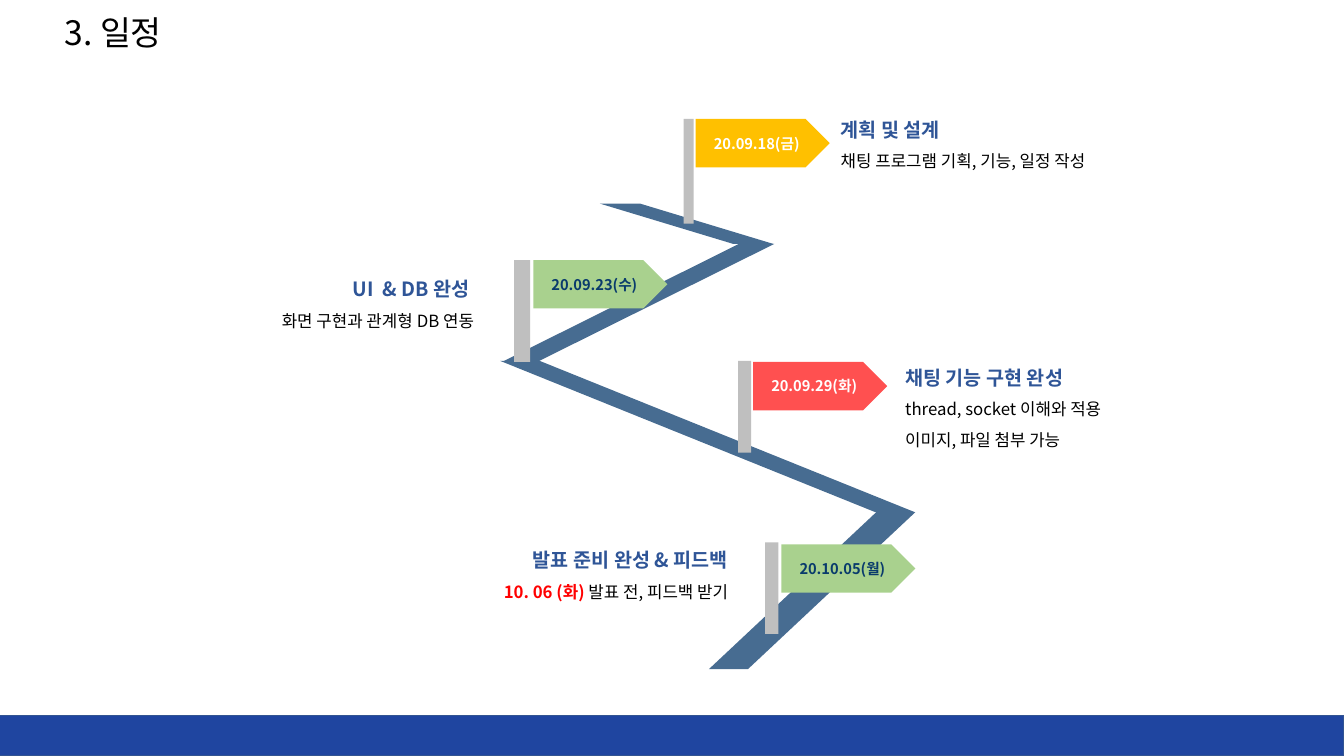
from pptx import Presentation
from pptx.dml.color import RGBColor
from pptx.enum.shapes import MSO_SHAPE
from pptx.enum.text import MSO_ANCHOR, MSO_AUTO_SIZE, PP_ALIGN
from pptx.oxml.ns import qn
from pptx.util import Pt
from lxml.etree import SubElement

PX = 9144
THEME = {
    "font": "Noto Sans CJK KR",
    "title": 24, "head": 14, "body": 12, "flag": 10.5,
    "black": "000000", "white": "FFFFFF", "navy": "093B6C",
    "blue": "2F5597", "alert": "FF0000", "road": "476C91",
    "pole": "BFBFBF", "bar": "1F45A0", "edge": "325491",
    "gold": "FFC000", "green": "A9D18E", "red": "FF5050",
}


def style(run, size, color, bold=False):
    font = run.font
    font.name = THEME["font"]
    font.size = Pt(THEME[size])
    font.bold = bold
    font.color.rgb = RGBColor.from_string(THEME[color])
    SubElement(run._r.get_or_add_rPr(), qn("a:ea")).set("typeface", THEME["font"])


def draw(home, kind, box, color):
    shape = home.add_shape(kind, *[n * PX for n in box])
    shape.shadow.inherit = False
    shape.fill.solid()
    shape.fill.fore_color.rgb = RGBColor.from_string(THEME[color])
    shape.line.fill.background()
    return shape


deck = Presentation()
deck.slide_width, deck.slide_height = 1333 * PX, 750 * PX
slide = deck.slides.add_slide(deck.slide_layouts[5])
shapes = slide.shapes

bar = draw(shapes, MSO_SHAPE.RECTANGLE, (-2, 710, 1335, 40), "bar")
bar.line.color.rgb = RGBColor.from_string(THEME["edge"])
bar.line.width = Pt(1)

title = shapes.title
title.left, title.top, title.width, title.height = [n * PX for n in (54, 7, 155, 50)]
frame = title.text_frame
frame.text = "3. 일정"
frame.auto_size = MSO_AUTO_SIZE.NONE
frame.vertical_anchor = MSO_ANCHOR.TOP
frame.paragraphs[0].alignment = PP_ALIGN.LEFT
style(frame.paragraphs[0].runs[0], "title", "black")

road = shapes.add_group_shape()
bends = [
    ((703, 508, 205, 156), 1.066, False),
    ((496, 358, 411, 150), 2.479, True),
    ((498, 242, 270, 117), 2.008, False),
    ((595, 202, 172, 40), 3.306, True),
]
for box, skew, flip in bends:
    bend = draw(road.shapes, MSO_SHAPE.PARALLELOGRAM, box, "road")
    bend.adjustments[0] = skew
    if flip:
        bend._element.spPr.xfrm.set("flipH", "1")

stops = [
    ("20.09.18(금)", (678, 118, 10, 104), (690, 118), "gold", "white"),
    ("20.09.23(수)", (510, 258, 16, 101), (529, 258), "green", "navy"),
    ("20.09.29(화)", (732, 358, 13, 91), (747, 359), "red", "white"),
    ("20.10.05(월)", (759, 538, 13, 91), (775, 540), "green", "navy"),
]
for date, pole, spot, fill, ink in stops:
    group = shapes.add_group_shape()
    draw(group.shapes, MSO_SHAPE.RECTANGLE, pole, "pole")
    flag = draw(group.shapes, MSO_SHAPE.PENTAGON, (*spot, 133, 48), fill)
    frame = flag.text_frame
    frame.text = date
    frame.vertical_anchor = MSO_ANCHOR.MIDDLE
    frame.paragraphs[0].alignment = PP_ALIGN.CENTER
    style(frame.paragraphs[0].runs[0], "flag", ink, True)

notes = [
    ((824, 100, 307, 72), PP_ALIGN.LEFT, "계획 및 설계",
     [[("채팅 프로그램 기획, 기능, 일정 작성", "black")]]),
    ((193, 258, 287, 72), PP_ALIGN.RIGHT, "UI  & DB 완성 ",
     [[("화면 구현과 관계형 DB 연동", "black")]]),
    ((888, 346, 287, 102), PP_ALIGN.LEFT, "채팅 기능 구현 완성",
     [[("thread, socket 이해와 적용", "black")],
      [("이미지, 파일 첨부 가능", "black")]]),
    ((445, 527, 287, 72), PP_ALIGN.RIGHT, "발표 준비 완성 & 피드백",
     [[("10. 06 (화) ", "alert"), ("발표 전, 피드백 받기", "black")]]),
]
for box, align, head, lines in notes:
    frame = shapes.add_textbox(*[n * PX for n in box]).text_frame
    frame.word_wrap = True
    frame.text = head
    style(frame.paragraphs[0].runs[0], "head", "blue", True)
    for line in lines:
        para = frame.add_paragraph()
        for text, ink in line:
            run = para.add_run()
            run.text = text
            style(run, "body", ink, ink == "alert")
    for para in frame.paragraphs:
        para.alignment = align
        para.line_spacing = 1.5

deck.save("out.pptx")
